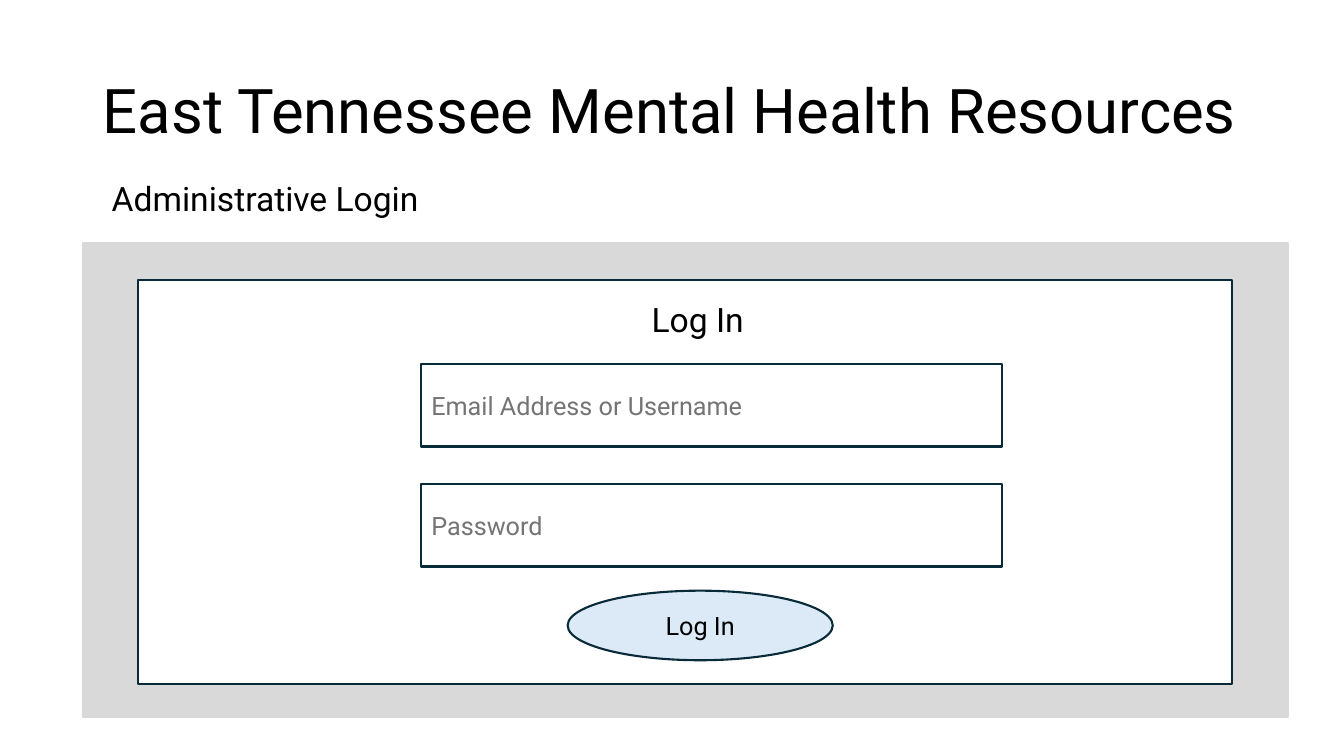
from pptx import Presentation
from pptx.dml.color import RGBColor
from pptx.enum.shapes import MSO_SHAPE
from pptx.enum.text import MSO_ANCHOR, PP_ALIGN
from pptx.util import Inches, Pt

RECTANGLE, OVAL = MSO_SHAPE.RECTANGLE, MSO_SHAPE.OVAL
MIDDLE, TOP = MSO_ANCHOR.MIDDLE, MSO_ANCHOR.TOP
LEFT, CENTER = PP_ALIGN.LEFT, PP_ALIGN.CENTER

BLACK, WHITE = "000000", "FFFFFF"
GREY, NAVY, PALE_BLUE, HINT = "D9D9D9", "092A39", "DCEAF7", "747474"


def color(value):
    return RGBColor.from_string(value)


def write(owner, words, size, ink=BLACK, align=LEFT, anchor=MIDDLE):
    frame = owner.text_frame
    frame.word_wrap = True
    frame.vertical_anchor = anchor
    frame.text = words
    paragraph = frame.paragraphs[0]
    paragraph.alignment = align
    font_format = {"name": "Roboto", "size": Pt(size), "bold": False}
    for attribute, value in font_format.items():
        setattr(paragraph.font, attribute, value)
    paragraph.font.color.rgb = color(ink)
    return paragraph


def add_label(slide, box, words, align=LEFT):
    label = slide.shapes.add_textbox(*map(Inches, box))
    write(label, words, 24, align=align, anchor=TOP)


def add_panel(slide, box, fill, outline=NAVY, preset=RECTANGLE):
    panel = slide.shapes.add_shape(preset, *map(Inches, box))
    panel.shadow.inherit = False
    panel.fill.solid()
    panel.fill.fore_color.rgb = color(fill)
    panel.line.color.rgb = color(outline)
    panel.line.width = Pt(1.5)
    return panel


def add_header(slide, box):
    left, top, width, height = box
    title = slide.shapes.title
    placement = {"left": left, "top": top, "width": width, "height": height}
    for attribute, value in placement.items():
        setattr(title, attribute, Inches(value))
    heading = write(title, "East Tennessee Mental Health Resources", 44)
    heading.line_spacing = 0.9
    add_label(slide, (left + 0.09, top + 1.32, 10.24, 0.5), "Administrative Login")


def add_login_form(slide, box):
    left, top, width, height = box
    add_panel(slide, box, WHITE)
    add_label(slide, (left + 1.53, top + 0.14, 8.04, 0.5), "Log In", CENTER)
    for row, hint in enumerate(("Email Address or Username", "Password")):
        field_box = (left + 2.81, top + 0.83 + row * 1.19, 5.76, 0.82)
        write(add_panel(slide, field_box, WHITE), hint, 18, HINT)
    button_box = (left + 4.26, top + 3.08, 2.63, 0.69)
    button = add_panel(slide, button_box, PALE_BLUE, preset=OVAL)
    write(button, "Log In", 18, align=CENTER)


def add_login_area(slide, box):
    left, top, width, height = box
    add_panel(slide, box, GREY, GREY)
    add_login_form(slide, (left + 0.55, top + 0.37, width - 1.1, height - 0.69))


def main():
    deck = Presentation()
    deck.slide_width, deck.slide_height = Inches(13.33), Inches(7.5)
    slide = deck.slides.add_slide(deck.slide_layouts[5])
    add_header(slide, (0.92, 0.4, 11.5, 1.45))
    add_login_area(slide, (0.82, 2.41, 11.95, 4.7))
    deck.save("out.pptx")


if __name__ == "__main__":
    main()
